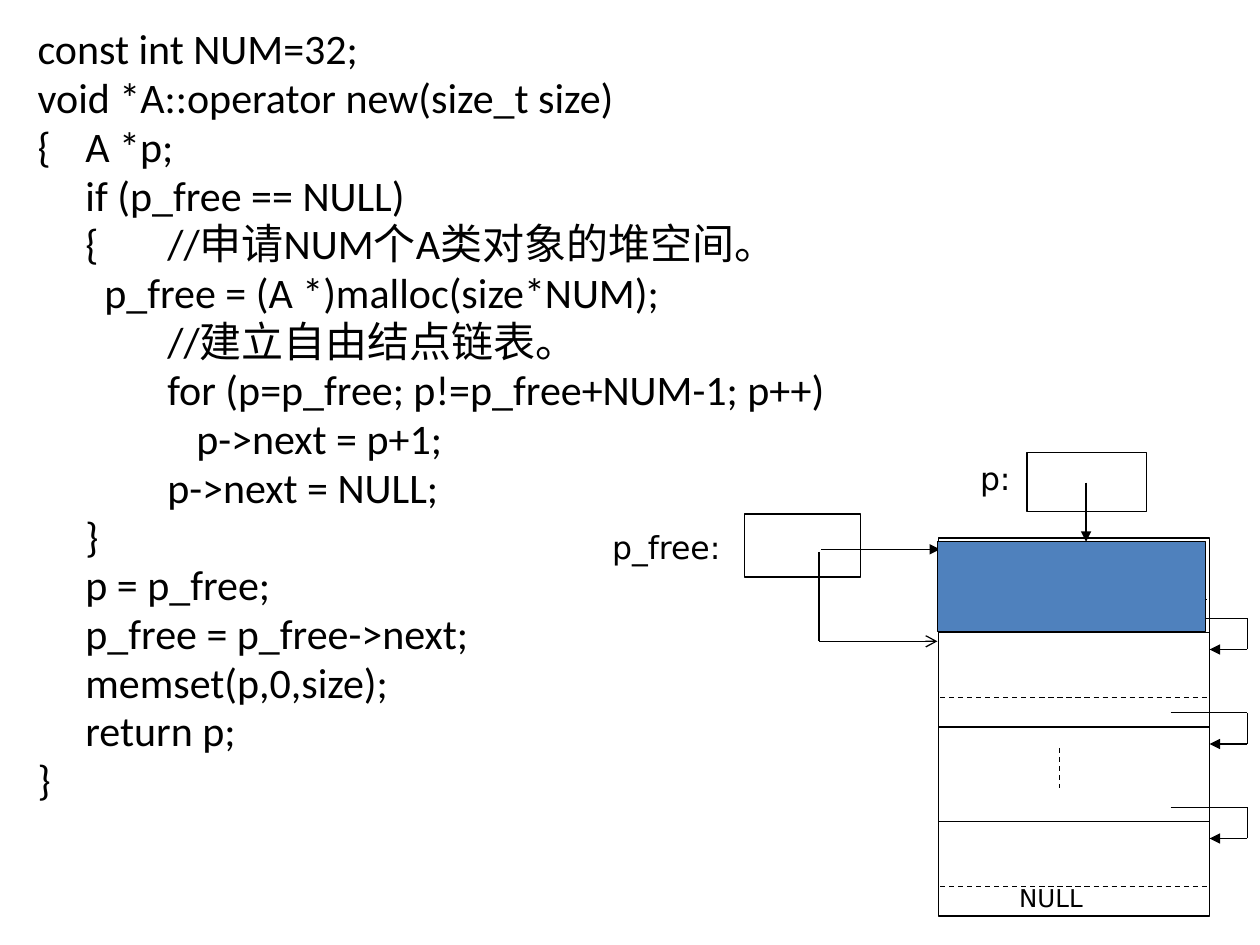
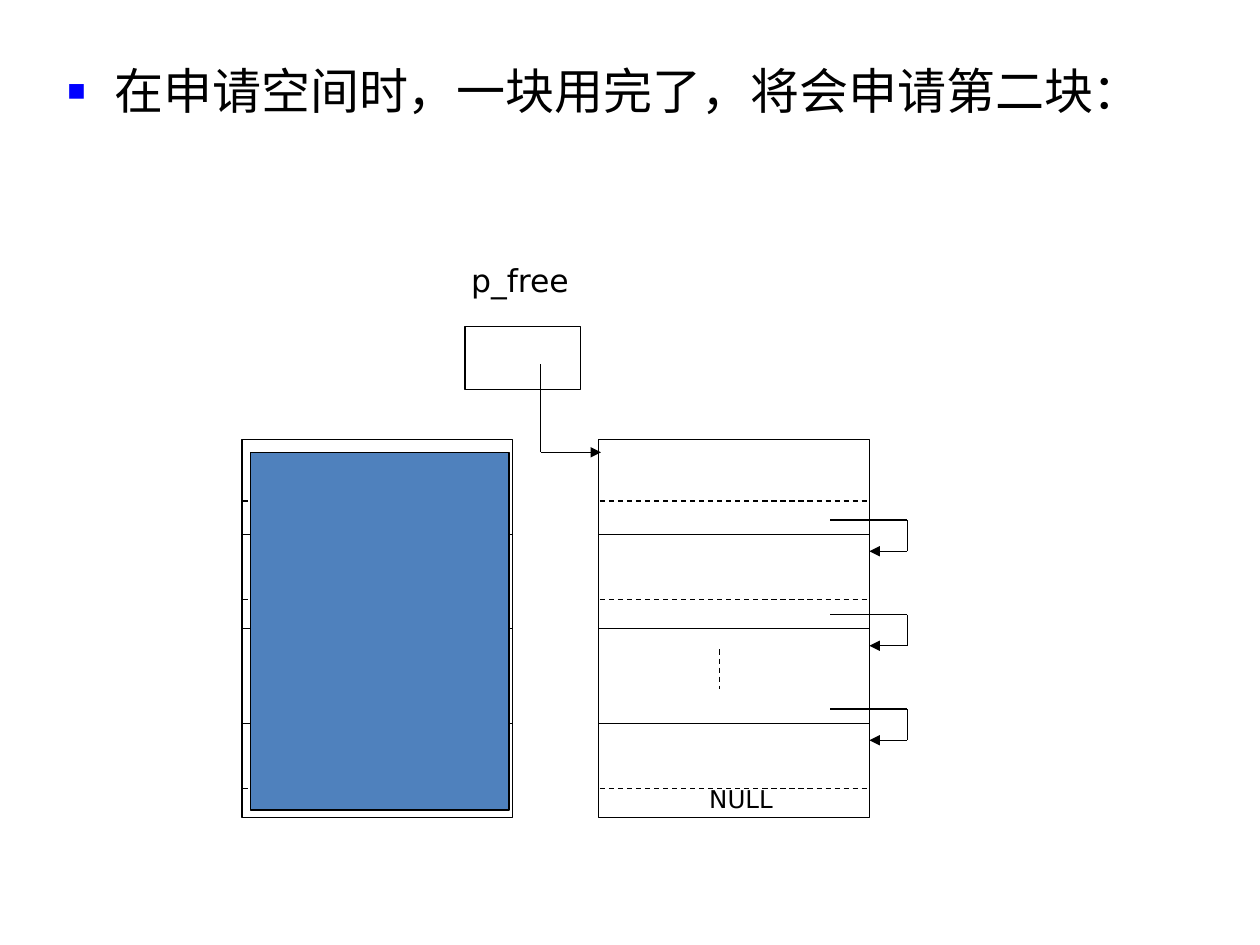
from dataclasses import dataclass
from itertools import pairwise

from lxml.etree import SubElement as sub
from pptx import Presentation
from pptx.dml.color import RGBColor as Color
from pptx.enum.dml import MSO_LINE_DASH_STYLE as Dash
from pptx.enum.shapes import MSO_CONNECTOR as Connector, MSO_SHAPE as Shape
from pptx.enum.text import MSO_AUTO_SIZE as AutoSize
from pptx.oxml.ns import qn
from pptx.util import Inches, Pt


@dataclass(frozen=True)
class Theme:
    ink: str = "000000"
    used: str = "4F81BD"
    bullet: str = "0000FF"
    code_font: str = "Calibri"
    font: str = "DejaVu Sans"
    code_size: int = 24
    title_size: int = 28
    label_size: int = 18
    small_size: int = 14
    line_width: float = 0.75
    line_spacing: float = 0.8
    space_before: float = 0.2


THEME = Theme()

COLUMNS, ROWS = 100, 75
BLOCK_WIDTH, CELL_HEIGHT, CELLS = 21.5, 7.5, 4
DASH_ROWS = (0.65, 1.69, 3.69)
NEXT_STOP = {0: 3.8, 3.8: 10.3}

CODE = [
    (0, "const int NUM=32;"),
    (0, "void *A::operator new(size_t size)"),
    (0, "{\tA *p;"),
    (3.8, "if (p_free == NULL)"),
    (3.8, "{\t//申请NUM个A类对象的堆空间。"),
    (5.3, "p_free = (A *)malloc(size*NUM);"),
    (10.3, "//建立自由结点链表。"),
    (10.3, "for (p=p_free; p!=p_free+NUM-1; p++)"),
    (12.6, "p->next = p+1;"),
    (10.3, "p->next = NULL;"),
    (3.8, "}"),
    (3.8, "p = p_free;"),
    (3.8, "p_free = p_free->next;"),
    (3.8, "memset(p,0,size);"),
    (3.8, "return p;"),
    (0, "}"),
]


def units(*values):
    return [Inches(value / 10) for value in values]


def add_text(slide, lines, place, size=THEME.label_size, font=THEME.font,
             wrap=False, spaced=False, bullet=None):
    box = slide.shapes.add_textbox(*units(*place))
    frame = box.text_frame
    frame.word_wrap = wrap
    frame.auto_size = AutoSize.NONE if wrap else AutoSize.SHAPE_TO_FIT_TEXT
    for index, (start, text) in enumerate(lines):
        para = frame.add_paragraph() if index else frame.paragraphs[0]
        span = para.add_run()
        span.text = text
        span.font.size = Pt(size)
        span.font.name = font
        span.font.color.rgb = Color.from_string(THEME.ink)
        if spaced:
            para.line_spacing = THEME.line_spacing
            para.space_before = Pt(size * THEME.space_before)
            set_indent(para, start)
        if bullet:
            add_bullet(para, bullet)
    return box


def set_indent(para, start):
    first, margin = units(start, NEXT_STOP.get(start, start))
    props = para._p.get_or_add_pPr()
    props.set("marL", str(margin))
    props.set("indent", str(first - margin))


def add_bullet(para, mark):
    props = para._p.get_or_add_pPr()
    colour = sub(props, qn("a:buClr"))
    sub(colour, qn("a:srgbClr"), val=THEME.bullet)
    sub(props, qn("a:buSzPct"), val="60000")
    sub(props, qn("a:buFont"), typeface=THEME.font)
    sub(props, qn("a:buChar"), char=mark)


def set_line(line):
    line.color.rgb = Color.from_string(THEME.ink)
    line.width = Pt(THEME.line_width)


def add_box(slide, place, fill=None):
    box = slide.shapes.add_shape(Shape.RECTANGLE, *units(*place))
    box.shadow.inherit = False
    if fill:
        box.fill.solid()
        box.fill.fore_color.rgb = Color.from_string(fill)
    else:
        box.fill.background()
    set_line(box.line)
    return box


def add_route(slide, *points, head=None, dashed=False):
    for start, end in pairwise(points):
        link = slide.shapes.add_connector(
            Connector.STRAIGHT, *units(*start, *end))
        set_line(link.line)
        if dashed:
            link.line.dash_style = Dash.DASH
        if head and end == points[-1]:
            sub(link.line._ln, qn("a:tailEnd"), type=head)
        sub(link._element.spPr, qn("a:effectLst"))


def add_block(slide, left, top):
    def at(column, row):
        return left + column * BLOCK_WIDTH, top + row * CELL_HEIGHT

    add_box(slide, (left, top, BLOCK_WIDTH, CELLS * CELL_HEIGHT))
    for row in range(1, CELLS):
        add_route(slide, at(0, row), at(1, row))
    for row in DASH_ROWS:
        add_route(slide, at(0.005, row), at(0.995, row), dashed=True)
    return at


def add_links(slide, at, null_place):
    for row in range(1, CELLS):
        start, end = row - 0.15, row + 0.18
        add_route(slide, at(0.856, start), at(1.14, start),
                  at(1.14, end), at(1, end), head="triangle")
    add_route(slide, at(0.447, 2.22), at(0.447, 2.64), dashed=True)
    add_text(slide, [(0, "NULL")], (*null_place, 7.5, 3.3),
             size=THEME.small_size)


def build_allocation(slide):
    add_text(slide, CODE, (2, 2.1, 90, 70.1), size=THEME.code_size,
             font=THEME.code_font, wrap=True, spaced=True)
    at = add_block(slide, 74.5, 42.7)
    add_links(slide, at, (79.9, 69.6))
    add_box(slide, (59.1, 40.8, 9.2, 5))
    add_text(slide, [(0, "p_free:")], (47.6, 41.4, 11.3, 4))
    add_route(slide, (65.2, 43.6), (74.6, 43.6), head="triangle")
    add_route(slide, (65, 43.8), (65, 50.9), (74.4, 50.9), head="arrow")
    add_box(slide, (74.4, 43, 21.3, 7.1), fill=THEME.used)
    add_box(slide, (81.5, 35.9, 9.5, 4.7))
    add_route(slide, (86.2, 38.3), (86.2, 43), head="triangle")
    add_text(slide, [(0, "p:")], (76.8, 35.9, 4.7, 4))


def build_second_block(slide):
    add_block(slide, 19.2, 34.9)
    at = add_block(slide, 47.5, 34.9)
    add_links(slide, at, (55.3, 61.7))
    add_box(slide, (36.9, 25.9, 9.2, 5))
    add_text(slide, [(0, "p_free")], (36.4, 20.2, 10.1, 4))
    add_route(slide, (42.9, 28.9), (42.9, 35.9), (47.7, 35.9),
              head="triangle")
    add_box(slide, (19.9, 35.9, 20.5, 28.4), fill=THEME.used)
    add_text(slide, [(0, "在申请空间时，一块用完了，将会申请第二块：")],
             (4.3, 5.2, 90, 11), size=THEME.title_size,
             wrap=True, spaced=True, bullet="▪")


def main():
    deck = Presentation()
    deck.slide_width, deck.slide_height = units(COLUMNS, ROWS)
    blank = deck.slide_layouts[6]
    for build in (build_allocation, build_second_block):
        build(deck.slides.add_slide(blank))
    deck.save("out.pptx")


main()
